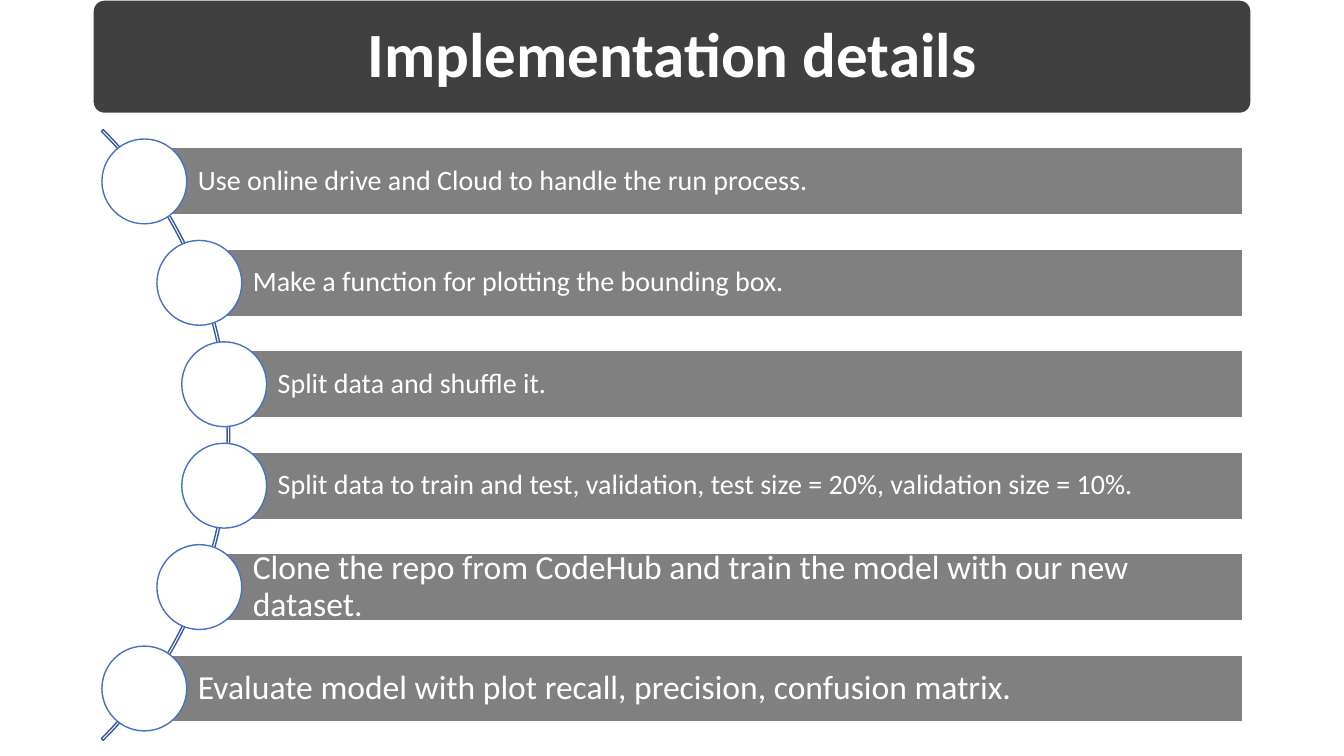
import math
import pptx
import pptx.util
import pptx.dml.color
import pptx.enum.shapes
import pptx.enum.text

Pt = pptx.util.Pt
Shape = pptx.enum.shapes.MSO_SHAPE
Align = pptx.enum.text.PP_ALIGN
Anchor = pptx.enum.text.MSO_ANCHOR

INK = {"dark": "404040", "grey": "808080", "white": "FFFFFF",
       "blue": "4472C4", "navy": "365B9D"}
FONT = "Calibri"

# Step text, font size, inset
STEPS = [
    ("Use online drive and Cloud to handle the run process.", 20, 4),
    ("Make a function for plotting the bounding box.", 20, 4),
    ("Split data and shuffle it.", 20, 4),
    ("Split data to train and test, validation, test size = 20%, "
     "validation size = 10%.", 20, 4),
    ("Clone the repo from CodeHub and train the model with our new dataset.",
     24, 4.8),
    ("Evaluate model with plot recall, precision, confusion matrix.", 24, 4.8),
]


def tone(name):
    return pptx.dml.color.RGBColor.from_string(INK[name])


def draw(slide, kind, box, fill, line):
    item = slide.shapes.add_shape(kind, *map(Pt, box))
    item.shadow.inherit = False
    if fill:
        item.fill.solid()
        item.fill.fore_color.rgb = tone(fill)
    else:
        item.fill.background()
    item.line.color.rgb = tone(line)
    item.line.width = Pt(1)
    return item


def write(item, text, size, pads, align, bold=False):
    frame = item.text_frame
    frame.text = text
    frame.word_wrap = True
    frame.auto_size = pptx.enum.text.MSO_AUTO_SIZE.NONE
    frame.vertical_anchor = Anchor.MIDDLE
    (frame.margin_left, frame.margin_top,
     frame.margin_right, frame.margin_bottom) = map(Pt, pads)
    para = frame.paragraphs[0]
    para.alignment = align
    para.line_spacing = 0.9
    para.space_before = Pt(0)
    font = para.runs[0].font
    font.name, font.size, font.bold = FONT, Pt(size), bold
    font.color.rgb = tone("white")


def banner(slide, box, text):
    left, top, width, height = box
    band = draw(slide, Shape.ROUNDED_RECTANGLE, box, "dark", "white")
    band.adjustments[0] = 0.1
    # Title sits in front of its band
    title = slide.shapes.title
    slide.shapes._spTree.append(title._element)
    gap = 2.4
    title.left, title.top = Pt(left + gap), Pt(top + gap)
    title.width, title.height = Pt(width - 2 * gap), Pt(height - 2 * gap)
    write(title, text, 45, [13.5] * 4, Align.CENTER, True)


def steps(slide, box, items):
    left, top, width, height = box
    right, mid = left + width, top + height / 2
    dot, bar = 60.6, 48.1
    pitch = (height - dot) / (len(items) - 1)

    # Curve behind the steps
    hub, rad = left - 217.2, 308.5
    arc = draw(slide, Shape.BLOCK_ARC,
               (hub - rad, mid - rad, 2 * rad, 2 * rad), None, "navy")
    for place, value in enumerate((189, 27, 0.003)):
        arc.adjustments[place] = value

    # Bars and dots, centred along the curve
    for row, (text, size, pad) in enumerate(items):
        y = top + dot / 2 + row * pitch
        x = hub + math.sqrt((rad - 1.8) ** 2 - (y - mid) ** 2)
        strip = draw(slide, Shape.RECTANGLE,
                     (x, y - bar / 2, right - x, bar), "grey", "white")
        write(strip, text, size, (38.2, pad, pad, pad), Align.LEFT)
        draw(slide, Shape.OVAL, (x - dot / 2, y - dot / 2, dot, dot),
             "white", "blue")


def main():
    deck = pptx.Presentation()
    deck.slide_width, deck.slide_height = Pt(960), Pt(540)
    slide = deck.slides.add_slide(deck.slide_layouts[5])
    banner(slide, (66.4, 0, 827.3, 81), "Implementation details")
    steps(slide, (72.8, 99.3, 815, 422.8), STEPS)
    deck.save("out.pptx")


if __name__ == "__main__":
    main()
